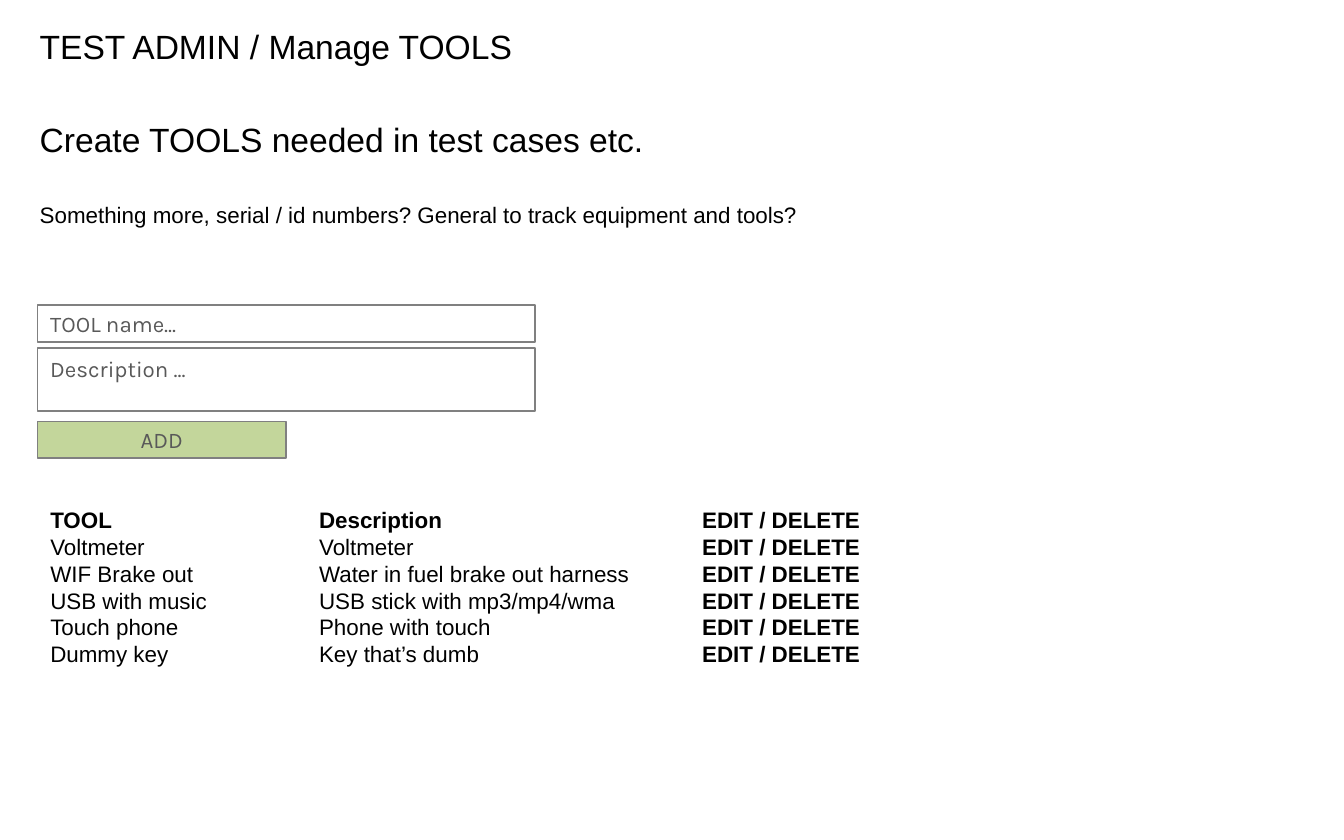
"""Build the tool management page: heading, entry form and tool list."""
from lxml import etree
from pptx import Presentation
from pptx.dml.color import RGBColor
from pptx.enum import shapes, text
from pptx.oxml.ns import qn
from pptx.util import Cm, Pt

theme = {
    "ink": RGBColor(0, 0, 0),
    "hint": RGBColor(0x59, 0x59, 0x59),
    "edge": RGBColor(0x80, 0x80, 0x80),
    "white": RGBColor(0xFF, 0xFF, 0xFF),
    "green": RGBColor(0xC3, 0xD6, 0x9B),
    "head": Pt(18),
    "note": Pt(12),
    "main": "Arial",
    "form": "Karla",
}
inset = {"margin_left": Cm(0.24), "margin_right": Cm(0.24)}
frame = {**inset, "margin_top": Cm(0.13), "margin_bottom": Cm(0.13),
         "word_wrap": True, "auto_size": text.MSO_AUTO_SIZE.NONE}


def apply(item, form):
    for key, val in form.items():
        setattr(item, key, val)


def write(para, words, size, face="main", ink="ink", bold=False):
    run = para.add_run()
    run.text = words
    apply(run.font, {"name": theme[face], "size": theme[size], "bold": bold})
    run.font.color.rgb = theme[ink]


deck = Presentation()
apply(deck, {"slide_width": Cm(25.4), "slide_height": Cm(15.88)})
slide = deck.slides.add_slide(deck.slide_layouts[1])

lines = [
    (slide.shapes.title, (0.51, 0.33, 11.99, 1.02),
     [("TEST ADMIN / Manage TOOLS", "head", 0)]),
    (slide.placeholders[1], (0.51, 2.08, 24.2, 3.18),
     [("Create TOOLS needed in test cases etc.", "head", 0),
      ("Something more, serial / id numbers? General to track equipment and tools?",
       "note", 22)]),
]
for box, place, rows in lines:
    apply(box, dict(zip(("left", "top", "width", "height"), map(Cm, place))))
    apply(box.text_frame, {**frame, "vertical_anchor": text.MSO_ANCHOR.TOP})
    for num, (words, size, gap) in enumerate(rows):
        para = box.text_frame.add_paragraph() if num else box.text_frame.paragraphs[0]
        props = para._p.get_or_add_pPr()
        props.set("marL", "0")
        props.set("indent", "0")
        etree.SubElement(props, qn("a:buNone"))
        apply(para, {"alignment": text.PP_ALIGN.LEFT, "line_spacing": 1.05,
                     "space_before": Pt(gap), "space_after": Pt(0)})
        write(para, words, size)

left, mid, high = text.PP_ALIGN.LEFT, text.MSO_ANCHOR.MIDDLE, text.MSO_ANCHOR.TOP
fields = [
    ("TOOL name...", 5.77, 9.4, 0.69, "white", left, mid),
    ("Description ...", 6.58, 9.4, 1.19, "white", left, high),
    ("ADD", 7.97, 4.7, 0.69, "green", text.PP_ALIGN.CENTER, mid),
]
for words, top, width, height, fill, align, anchor in fields:
    box = slide.shapes.add_shape(
        shapes.MSO_SHAPE.RECTANGLE, Cm(0.71), Cm(top), Cm(width), Cm(height))
    box.shadow.inherit = False
    box.fill.solid()
    box.fill.fore_color.rgb = theme[fill]
    box.line.color.rgb = theme["edge"]
    box.line.width = Pt(1)
    apply(box.text_frame, {**frame, "vertical_anchor": anchor})
    para = box.text_frame.paragraphs[0]
    para.alignment = align
    write(para, words, "note", "form", "hint")

tools = [
    ("TOOL", "Description"),
    ("Voltmeter", "Voltmeter"),
    ("WIF Brake out", "Water in fuel brake out harness"),
    ("USB with music", "USB stick with mp3/mp4/wma"),
    ("Touch phone", "Phone with touch"),
    ("Dummy key", "Key that’s dumb"),
]
widths = [5.08, 7.24, 12.19]
pitch = 0.51
grid = slide.shapes.add_table(
    len(tools), len(widths), Cm(0.71), Cm(9.58),
    Cm(sum(widths)), Cm(pitch * len(tools))).table
apply(grid, {"first_row": False, "horz_banding": False})
for col, width in zip(grid.columns, widths):
    col.width = Cm(width)
for row, tool in enumerate(tools):
    grid.rows[row].height = Cm(pitch)
    for col, words in enumerate((*tool, "EDIT / DELETE")):
        cell = grid.cell(row, col)
        cell.fill.background()
        apply(cell, {**inset, "margin_top": 0, "margin_bottom": 0,
                     "vertical_anchor": mid})
        write(cell.text_frame.paragraphs[0], words, "note", bold=row == 0 or col == 2)

deck.save("out.pptx")
